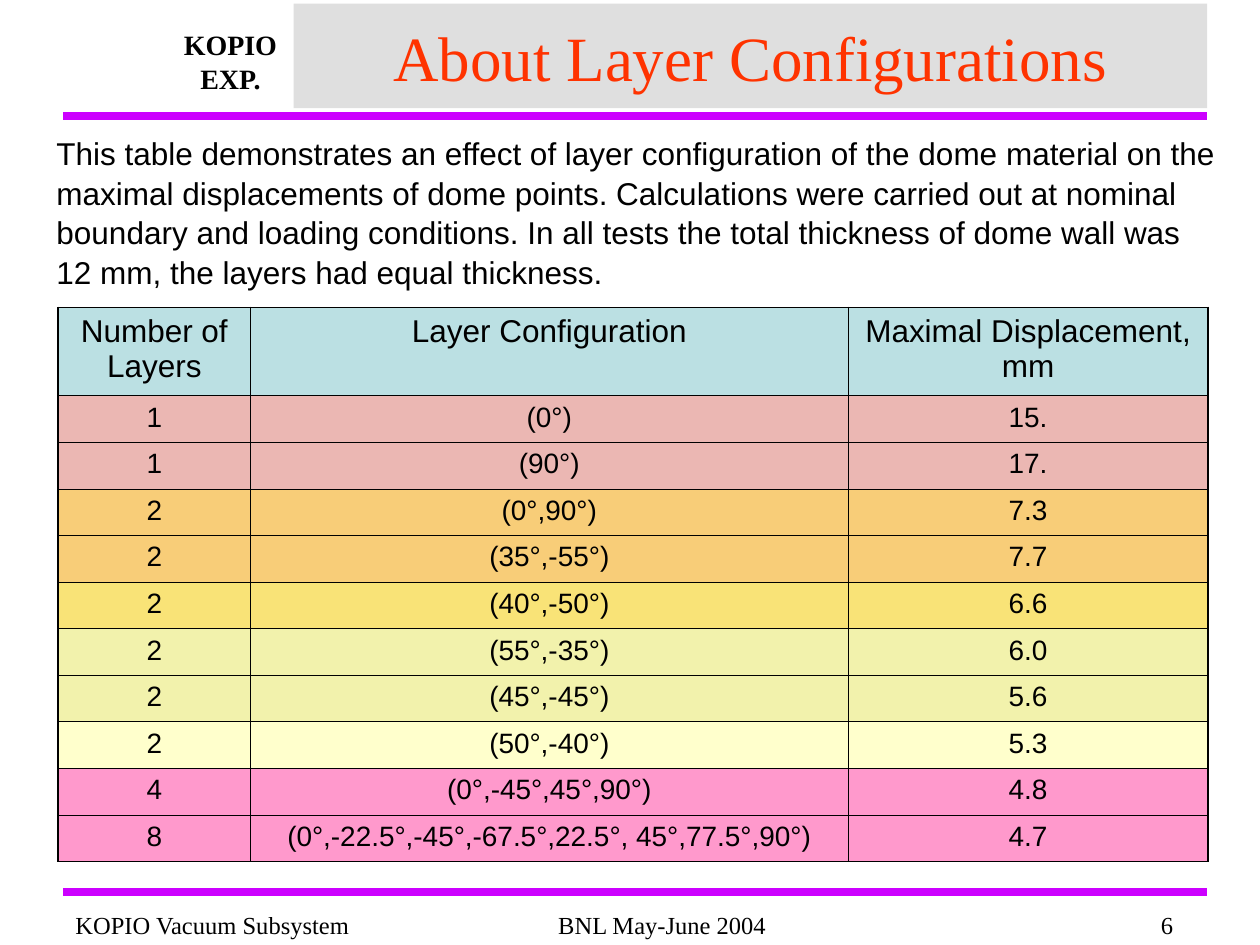
"""Build the slide on dome layer configurations."""
from lxml import etree
from pptx import Presentation
from pptx.dml.color import RGBColor
from pptx.enum import shapes, text
from pptx.oxml import ns
from pptx.util import Inches, Pt

BLACK = RGBColor(0x00, 0x00, 0x00)
PURPLE = RGBColor(0xCC, 0x00, 0xFF)
GRAY = RGBColor(0xC0, 0xC0, 0xC0)
ORANGE = RGBColor(0xFF, 0x33, 0x00)
BLUE = RGBColor(0xBB, 0xE0, 0xE3)
ROSE = RGBColor(0xEB, 0xB7, 0xB3)
PEACH = RGBColor(0xF8, 0xCD, 0x78)
GOLD = RGBColor(0xF9, 0xE3, 0x77)
LIME = RGBColor(0xF2, 0xF2, 0xAC)
CREAM = RGBColor(0xFF, 0xFF, 0xCC)
PINK = RGBColor(0xFF, 0x99, 0xCC)

LEFT, CENTER, RIGHT = (text.PP_ALIGN.LEFT, text.PP_ALIGN.CENTER,
                       text.PP_ALIGN.RIGHT)
SERIF = {"name": "Times New Roman", "size": Pt(14)}
LOGO = {**SERIF, "size": Pt(16), "bold": True}
TITLE = {**SERIF, "size": Pt(36)}
HEAD = {"name": "Arial", "size": Pt(18)}
BODY = {"name": "Arial", "size": Pt(16)}

INTRO = ("This table demonstrates an effect of layer configuration of the "
         "dome material on the maximal displacements of dome points. "
         "Calculations were carried out at nominal boundary and loading "
         "conditions. In all tests the total thickness of dome wall was "
         "12 mm, the layers had equal thickness.")
WIDTHS = [1.53, 4.74, 2.86]
ROWS = [
    (BLUE, "Number of Layers", "Layer Configuration",
     "Maximal Displacement, mm"),
    (ROSE, "1", "(0°)", "15."),
    (ROSE, "1", "(90°)", "17."),
    (PEACH, "2", "(0°,90°)", "7.3"),
    (PEACH, "2", "(35°,-55°)", "7.7"),
    (GOLD, "2", "(40°,-50°)", "6.6"),
    (LIME, "2", "(55°,-35°)", "6.0"),
    (LIME, "2", "(45°,-45°)", "5.6"),
    (CREAM, "2", "(50°,-40°)", "5.3"),
    (PINK, "4", "(0°,-45°,45°,90°)", "4.8"),
    (PINK, "8", "(0°,-22.5°,-45°,-67.5°,22.5°, 45°,77.5°,90°)", "4.7"),
]


def write(frame, lines, style, align, color=BLACK):
    """Fill a text frame with styled paragraphs."""
    frame.word_wrap = True
    for num, line in enumerate(lines):
        para = frame.add_paragraph() if num else frame.paragraphs[0]
        para.text = line
        para.alignment = align
        para.font.color.rgb = color
        for key, value in style.items():
            setattr(para.font, key, value)


def paint(fill, color, alpha=None):
    """Set a solid fill, with opacity in percent if given."""
    fill.solid()
    fill.fore_color.rgb = color
    if alpha:
        node = fill._xPr.find(".//" + ns.qn("a:srgbClr"))
        etree.SubElement(node, ns.qn("a:alpha"), val=str(alpha * 1000))


def add_rule(slide, y):
    """Draw a purple line across the slide."""
    line = slide.shapes.add_connector(
        shapes.MSO_CONNECTOR.STRAIGHT,
        Inches(0.5), Inches(y), Inches(9.58), Inches(y))
    line.line.color.rgb = PURPLE
    line.line.width = Pt(4.5)
    etree.SubElement(line._element.spPr, ns.qn("a:effectLst"))


def add_label(slide, place, lines, style, align, side=0.1):
    """Add a text box and return its frame."""
    box = slide.shapes.add_textbox(*map(Inches, place))
    frame = box.text_frame
    frame.margin_left = frame.margin_right = Inches(side)
    write(frame, lines, style, align)
    return frame


def add_title(slide):
    """Add the title on its gray panel."""
    panel = slide.shapes.add_shape(
        shapes.MSO_SHAPE.RECTANGLE,
        *map(Inches, (2.33, 0.03, 7.25, 0.83)))
    panel.shadow.inherit = False
    panel.line.fill.background()
    paint(panel.fill, GRAY, 50)
    panel.text_frame.vertical_anchor = text.MSO_ANCHOR.MIDDLE
    write(panel.text_frame, ["About Layer Configurations"], TITLE, CENTER,
          ORANGE)


def add_edges(cell, outer):
    """Border a cell, thicker on the sides named in outer."""
    props = cell._tc.get_or_add_tcPr()
    for side in "LRTB":
        width = Pt(1.08) if side in outer else Pt(0.45)
        edge = etree.SubElement(props, ns.qn("a:ln" + side), w=str(width))
        solid = etree.SubElement(edge, ns.qn("a:solidFill"))
        etree.SubElement(solid, ns.qn("a:srgbClr"), val=str(BLACK))


def add_grid(slide):
    """Add the table of configurations."""
    place = map(Inches, (0.46, 2.44, sum(WIDTHS), 4.4))
    table = slide.shapes.add_table(len(ROWS), len(WIDTHS), *place).table
    table.first_row = table.horz_banding = False
    for col, width in zip(table.columns, WIDTHS):
        col.width = Inches(width)
    last, end = len(ROWS) - 1, len(WIDTHS) - 1
    for r, (color, *words) in enumerate(ROWS):
        table.rows[r].height = Inches(0.37 if r else 0.7)
        for c, word in enumerate(words):
            cell = table.cell(r, c)
            sides = {"L": c == 0, "R": c == end, "T": r == 0, "B": r == last}
            add_edges(cell, [side for side, on in sides.items() if on])
            paint(cell.fill, color, 50 if color == PEACH else None)
            write(cell.text_frame, [word], BODY if r else HEAD, CENTER)


def main():
    """Build and save the slide."""
    deck = Presentation()
    deck.slide_width, deck.slide_height = Inches(10), Inches(7.5)
    slide = deck.slides.add_slide(deck.slide_layouts[6])
    for y in (0.92, 7.08):
        add_rule(slide, y)
    add_label(slide, (1.33, 0.17, 1, 0.64), ["KOPIO", "EXP."], LOGO, CENTER, 0)
    for x, width, word, align in (
            (0.5, 2.58, "KOPIO Vacuum Subsystem", LEFT),
            (3.92, 2.67, "BNL May-June 2004", CENTER),
            (6.33, 3.08, "6", RIGHT)):
        add_label(slide, (x, 7.17, width, 0.34), [word], SERIF, align)
    add_title(slide)
    add_grid(slide)
    intro = add_label(slide, (0.35, 1, 9.5, 1.3), [INTRO], HEAD, LEFT)
    intro.margin_right = Inches(0.17)
    intro.paragraphs[0].line_spacing = 1.05
    deck.save("out.pptx")


if __name__ == "__main__":
    main()
